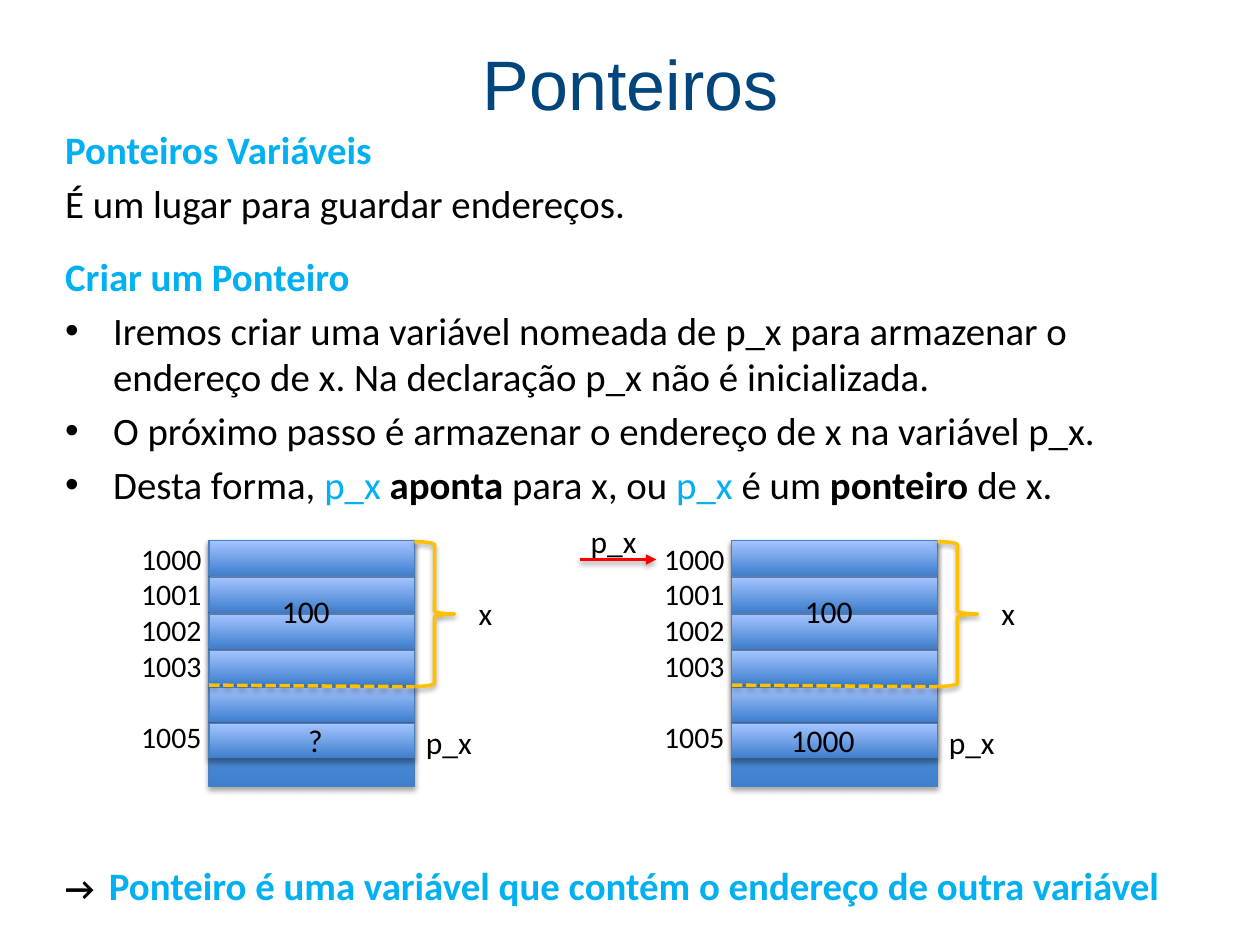
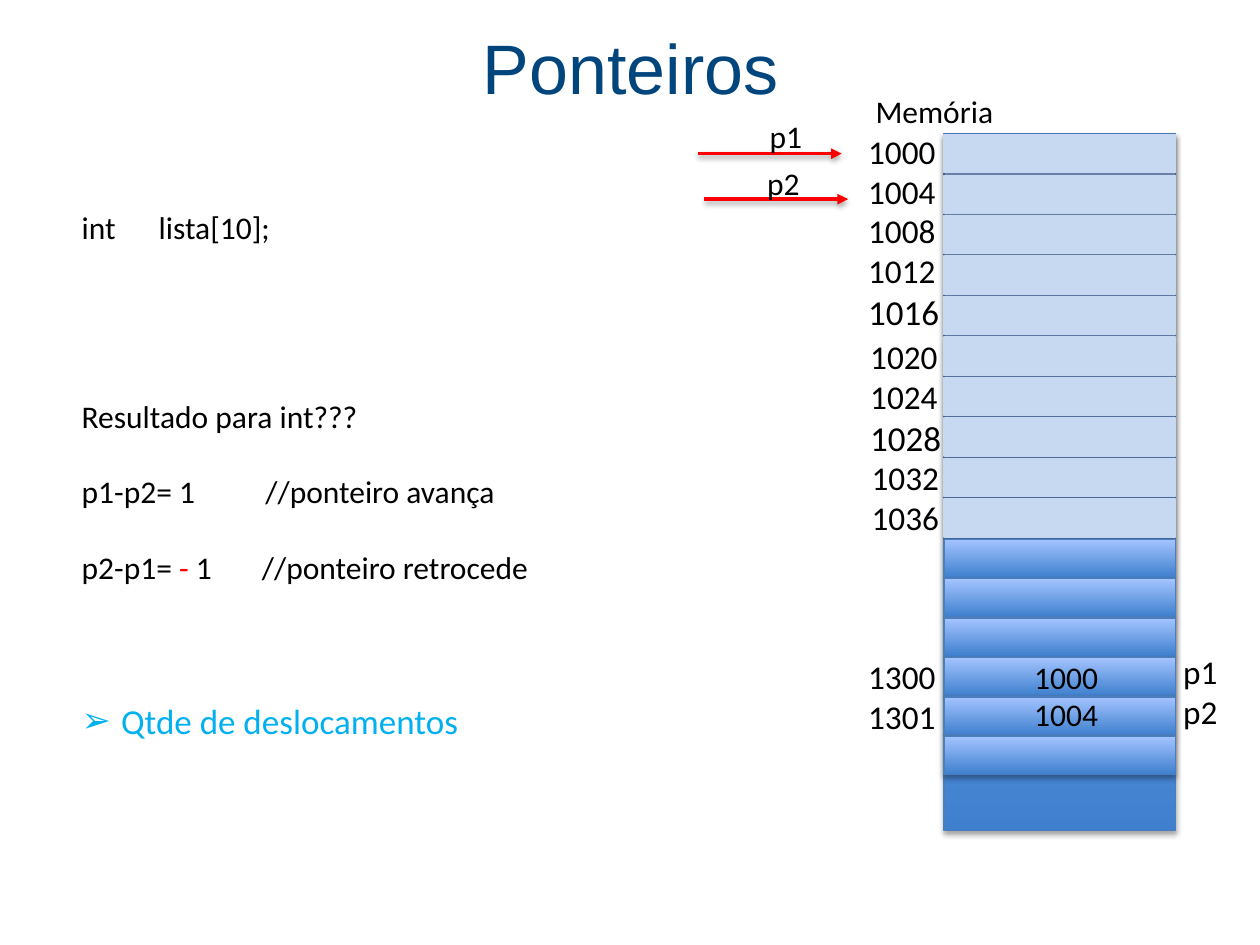
"""Builds two slides on pointers, each with a diagram of memory cells."""
from lxml import etree
from pptx import Presentation
from pptx.dml.color import RGBColor
from pptx.enum import dml, shapes, text
from pptx.oxml import ns
from pptx.util import Pt

BLACK = RGBColor(0x00, 0x00, 0x00)
NAVY = RGBColor(0x00, 0x45, 0x7C)
CYAN = RGBColor(0x00, 0xB0, 0xF0)
RED = RGBColor(0xFF, 0x00, 0x00)
AMBER = RGBColor(0xFF, 0xC0, 0x00)
CELL_TOP = RGBColor(0xA4, 0xC4, 0xFF)
CELL_BOTTOM = RGBColor(0x3F, 0x80, 0xCE)
CELL_EDGE = RGBColor(0x4B, 0x7E, 0xBC)
LIST_CELL = RGBColor(0xC6, 0xD9, 0xF1)
RECTANGLE = shapes.MSO_SHAPE.RECTANGLE
STRAIGHT = shapes.MSO_CONNECTOR.STRAIGHT


def write(slide, left, top, width, height, lines, size=18):
    """Writes lines, each a string or a list of (text, colour, bold) runs."""
    frame = slide.shapes.add_textbox(Pt(left), Pt(top), Pt(width), Pt(height)).text_frame
    frame.word_wrap = True
    for number, line in enumerate(lines):
        paragraph = frame.add_paragraph() if number else frame.paragraphs[0]
        for words, colour, bold in [(line, BLACK, False)] if isinstance(line, str) else line:
            run = paragraph.add_run()
            run.text = words
            run.font.name, run.font.size = "Calibri", Pt(size)
            run.font.color.rgb, run.font.bold = colour, bold
    return frame.paragraphs


def finish(shape, edge, weight, fill=None, arrow=False):
    """Gives a shape or line its edge, fill and soft shadow."""
    if fill == CELL_BOTTOM:
        shape.fill.gradient()
        shape.fill.gradient_angle = 90
        for stop, colour in zip(shape.fill.gradient_stops, (CELL_BOTTOM, CELL_TOP)):
            stop.color.rgb = colour
    elif fill is not None:
        shape.fill.solid()
        shape.fill.fore_color.rgb = fill
    shape.line.color.rgb = edge
    shape.line.width = Pt(weight)
    properties = shape._element.spPr
    if arrow:
        etree.SubElement(properties.find(ns.qn("a:ln")), ns.qn("a:tailEnd"), type="triangle")
    effects = etree.SubElement(properties, ns.qn("a:effectLst"))
    shadow = etree.SubElement(effects, ns.qn("a:outerShdw"), blurRad="40000", dist="23000",
                              dir="5400000", rotWithShape="0")
    black = etree.SubElement(shadow, ns.qn("a:srgbClr"), val="000000")
    etree.SubElement(black, ns.qn("a:alpha"), val="35000")


deck = Presentation()
deck.slide_width, deck.slide_height = Pt(720), Pt(540)
for title_height in (90, 71.3):
    slide = deck.slides.add_slide(deck.slide_layouts[5])
    title = slide.shapes.title
    title.left, title.top, title.width, title.height = Pt(25.2), Pt(2.2), Pt(670.3), Pt(title_height)
    title.text_frame.text = "Ponteiros"
    title.text_frame.vertical_anchor = text.MSO_ANCHOR.MIDDLE
    heading = title.text_frame.paragraphs[0]
    heading.alignment = text.PP_ALIGN.CENTER
    heading_font = heading.runs[0].font
    heading_font.name, heading_font.size, heading_font.color.rgb = "Arial", Pt(40), NAVY
concept, subtraction = deck.slides

body = write(concept, 30.2, 68.4, 664.6, 235, [
    [("Ponteiros Variáveis", CYAN, True)],
    "É um lugar para guardar endereços.",
    [("Criar um Ponteiro", CYAN, True)],
    "Iremos criar uma variável nomeada de p_x para armazenar o endereço de x. "
    "Na declaração p_x não é inicializada.",
    "O próximo passo é armazenar o endereço de x na variável p_x.",
    [("Desta forma, ", BLACK, False), ("p_x ", CYAN, False), ("aponta", BLACK, True),
     (" para x, ou ", BLACK, False), ("p_x", CYAN, False), (" é um ", BLACK, False),
     ("ponteiro", BLACK, True), (" de x.", BLACK, False)],
], 22.2)
for paragraph in body[1:]:
    paragraph.space_before = Pt(4.2)
body[2].line_spacing = 1.4
conclusion = write(concept, 30.2, 489, 664.6, 36, [
    [("→\t", BLACK, True),
     ("Ponteiro é uma variável que contém o endereço de outra variável", CYAN, True)],
], 22.2)
conclusion[0].runs[0].font.size = Pt(18.5)

for shift, pointer_value, value_left in ((0, "?", 169), (298.8, "1000", 146)):
    memory_left = 119.4 + shift
    memory_right = memory_left + 117.4
    blocks = [(309, 140.4)] + [(309 + 20.9 * row, 19.6) for row in range(6)]
    for top, height in blocks:
        cell = concept.shapes.add_shape(RECTANGLE, Pt(memory_left), Pt(top), Pt(117.4), Pt(height))
        finish(cell, CELL_EDGE, 0.75, CELL_BOTTOM)
    brace = concept.shapes.add_shape(shapes.MSO_SHAPE.RIGHT_BRACE, Pt(memory_right), Pt(309.5),
                                     Pt(23), Pt(82.8))
    brace.fill.background()
    finish(brace, AMBER, 2)
    boundary = concept.shapes.add_connector(STRAIGHT, Pt(memory_left), Pt(391.5),
                                            Pt(memory_right), Pt(392.4))
    boundary.line.dash_style = dml.MSO_LINE.SQUARE_DOT
    finish(boundary, AMBER, 2)
    addresses = write(concept, 73.6 + shift, 305.3, 68.4, 154.8,
                      ["1000", "1001", "1002", "1003", "1005"], 17)
    addresses[-1].space_before = Pt(20.5)
    for left, top, label in ((154, 334.5, "100"), (value_left, 408.6, pointer_value),
                             (266.4, 336, "x"), (236.3, 409.5, "p_x")):
        write(concept, left + shift, top, 58, 28.8, [label])

code = write(subtraction, 39.6, 115.2, 272.2, 337, [
    "int\tlista[10];",
    "Resultado para int???",
    "p1-p2= 1\t//ponteiro avança",
    [("p2-p1= ", BLACK, False), ("-", RED, False), (" 1\t//ponteiro retrocede", BLACK, False)],
    [("Qtde de deslocamentos", CYAN, False)],
])
for paragraph, gap in zip(code[1:], (86.4, 21.6, 21.6, 65)):
    paragraph.space_before = Pt(gap)
code[-1].runs[0].font.size = Pt(20)

hanging = [(paragraph, 27.4, "•") for paragraph in body[3:]]
hanging += [(conclusion[0], 25, ""), (code[0], 44, ""), (code[2], 105, ""),
            (code[3], 103, ""), (code[4], 22.5, "➢")]
for paragraph, indent, bullet in hanging:
    properties = paragraph._p.get_or_add_pPr()
    properties.set("marL", str(Pt(indent)))
    properties.set("indent", str(-Pt(indent)))
    if bullet:
        etree.SubElement(properties, ns.qn("a:buFont"), typeface="Arial")
        etree.SubElement(properties, ns.qn("a:buChar"), char=bullet)

blocks = [(76.3, 398.2, CELL_BOTTOM, CELL_EDGE)]
blocks += [(77 + 23.12 * row, 21.8, LIST_CELL, LIST_CELL) for row in range(10)]
blocks += [(308.2 + 22.5 * row, 21.8, CELL_BOTTOM, CELL_EDGE) for row in range(6)]
for top, height, fill, edge in blocks:
    cell = subtraction.shapes.add_shape(RECTANGLE, Pt(539.4), Pt(top), Pt(132.4), Pt(height))
    finish(cell, edge, 0.75, fill)

for left, top, height, labels, last_size in (
        (489, 71.3, 123.8, range(1000, 1020, 4), 20),
        (490.2, 188.6, 77.8, range(1020, 1032, 4), 20),
        (491, 257.8, 77.8, range(1032, 1040, 4), 19),
        (489, 371.5, 100.8, (1300, 1301), 19),
        (669, 368.6, 77.8, ("p1", "p2"), 19)):
    column = write(subtraction, left, top, 61.2, height, [str(label) for label in labels], 19)
    column[-1].runs[0].font.size = Pt(last_size)
write(subtraction, 493.2, 49, 137.5, 28.8, ["Memória"])
write(subtraction, 583.9, 372.2, 65.5, 51, ["1000", "1004"])

for slide, start, end, y, name, name_left, name_top in (
        (concept, 331.2, 375.1, 319.7, "p_x", 330.5, 294.5),
        (subtraction, 398.9, 481, 87.8, "p1", 432.7, 63.4),
        (subtraction, 402.5, 484.6, 113.8, "p2", 431.3, 90)):
    pointer = slide.shapes.add_connector(STRAIGHT, Pt(start), Pt(y), Pt(end), Pt(y))
    finish(pointer, RED, 2, arrow=True)
    write(slide, name_left, name_top, 58, 28.8, [name])

deck.save("out.pptx")
